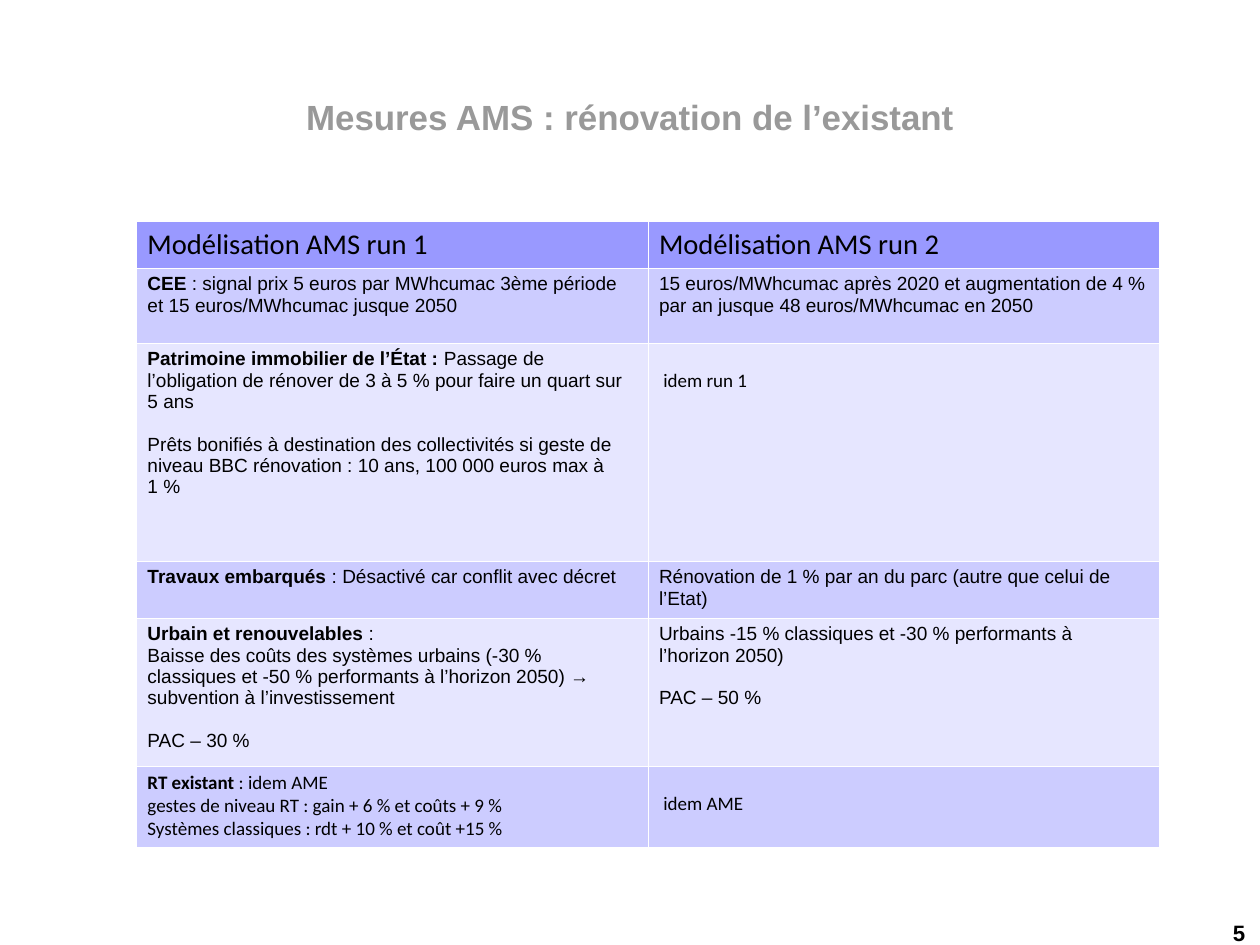
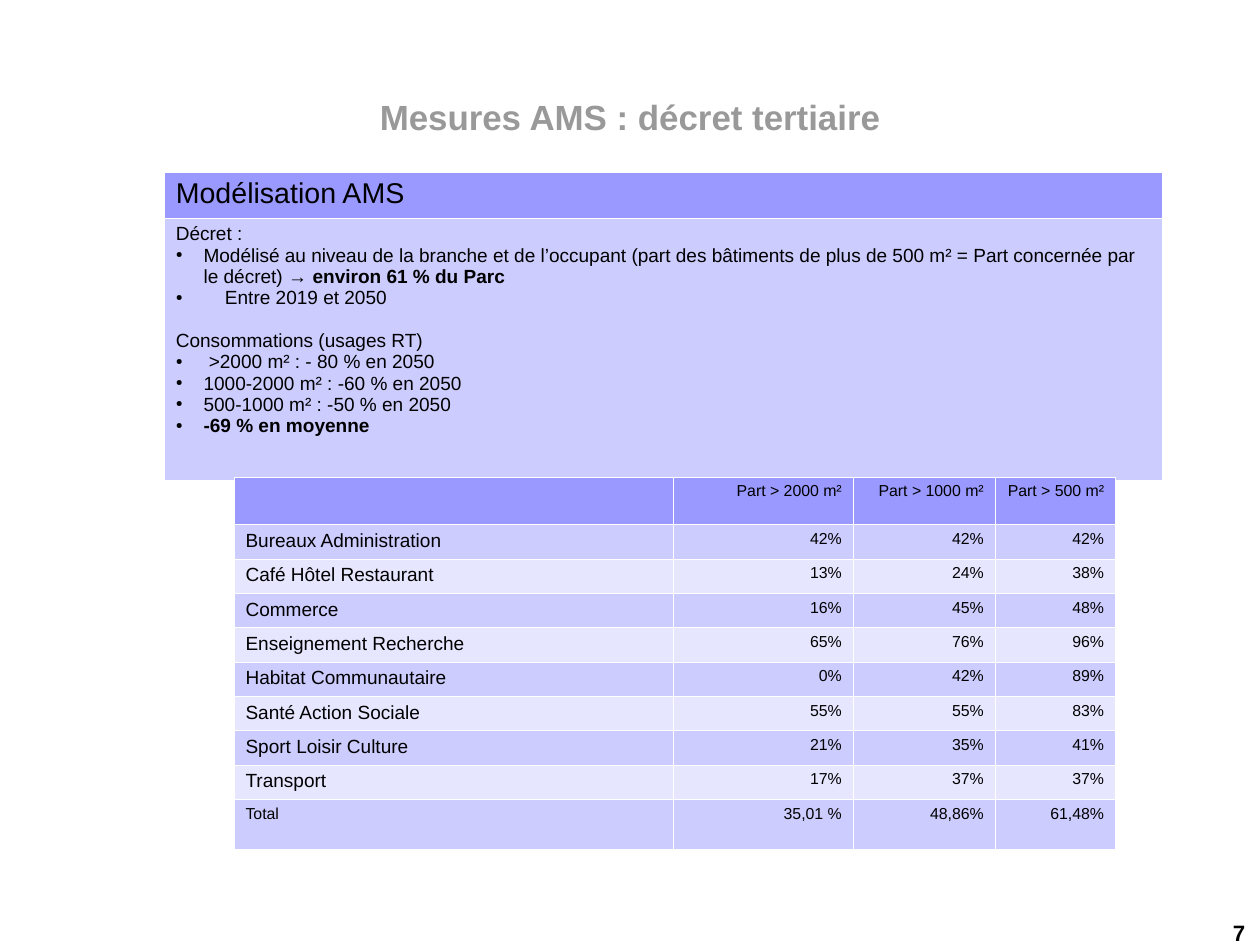
import pptx
import pptx.util
import pptx.dml.color
import pptx.enum.text
import pptx.oxml
import pptx.oxml.ns

BLACK = pptx.dml.color.RGBColor(0x00, 0x00, 0x00)
GREY = pptx.dml.color.RGBColor(0x99, 0x99, 0x99)
HEADER = pptx.dml.color.RGBColor(0x99, 0x99, 0xFF)
BAND = pptx.dml.color.RGBColor(0xCC, 0xCC, 0xFF)
PALE = pptx.dml.color.RGBColor(0xE6, 0xE6, 0xFF)

Pt = pptx.util.Pt
ALIGN = pptx.enum.text.PP_ALIGN
NS = pptx.oxml.ns.nsdecls("a")
HARD_SPACE = chr(160)

deck = pptx.Presentation()
deck.slide_width = pptx.util.Emu(10080625)
deck.slide_height = pptx.util.Emu(7559675)
COLUMN = deck.slide_width / 100
ROW = deck.slide_height / 100

BLANK_LINE = Pt(13.4)
BULLET = 2.2

TITLE = {"size": Pt(22), "name": "Arial", "bold": True}
NUMBER = {"size": Pt(14), "name": "Arial", "bold": True}
HEADING = {"size": Pt(18), "name": "Arial"}
HEADING_CALIBRI = {"size": Pt(18), "name": "Calibri"}
BODY = {"size": Pt(12), "name": "Arial"}
BODY_CALIBRI = {"size": Pt(12), "name": "Calibri"}
FIGURE = {"size": Pt(10), "name": "Arial"}


def write(frame, paragraphs, style, color=BLACK, align=ALIGN.LEFT):
    for index, (text, gap, indent) in enumerate(paragraphs):
        paragraph = frame.paragraphs[0] if index == 0 else frame.add_paragraph()
        paragraph.alignment = align
        if gap:
            paragraph.space_before = BLANK_LINE
        if indent:
            properties = paragraph._p.get_or_add_pPr()
            properties.set("marL", str(int(indent * COLUMN)))
            properties.set("indent", str(-int(indent * COLUMN)))
            for tag in ('buClr {}><a:srgbClr val="000000"/></a:buClr>',
                        'buSzPct {} val="45000"/>',
                        'buChar {} char="●"/>'):
                properties.append(pptx.oxml.parse_xml("<a:" + tag.format(NS)))
        for mark in "%:":
            text = text.replace(" " + mark, HARD_SPACE + mark)
        for part, words in enumerate(text.split("*")):
            if words:
                run = paragraph.add_run()
                run.text = words
                for key, value in {"bold": part % 2 == 1, **style}.items():
                    setattr(run.font, key, value)
                run.font.color.rgb = color


def add_grid(slide, left, top, widths, heights):
    grid = slide.shapes.add_table(
        len(heights), len(widths), int(left * COLUMN), int(top * ROW),
        int(sum(widths) * COLUMN), int(sum(heights) * ROW)).table
    grid.first_row = grid.horz_banding = False
    for column, width in zip(grid.columns, widths):
        column.width = int(width * COLUMN)
    for index, (row, height) in enumerate(zip(grid.rows, heights)):
        row.height = int(height * ROW)
        for cell in row.cells:
            cell.fill.solid()
            cell.fill.fore_color.rgb = HEADER if index == 0 else (PALE, BAND)[index % 2]
            for position, side in enumerate("LRTB"):
                cell._tc.get_or_add_tcPr().insert(position, pptx.oxml.parse_xml(
                    f'<a:ln{side} {NS} w="762"><a:solidFill>'
                    f'<a:srgbClr val="FFFFFF"/></a:solidFill></a:ln{side}>'))
    return grid


slides = []
for heading, number in (("Mesures AMS : rénovation de l’existant", "5"),
                        ("Mesures AMS : décret tertiaire", "7")):
    slide = deck.slides.add_slide(deck.slide_layouts[5])
    slides.append(slide)
    page = slide.shapes.add_textbox(0, 0, 0, 0)
    for box, place, text, style, color, align in (
            (slide.shapes.title, (5, 4, 90, 16.7), heading, TITLE, GREY, ALIGN.CENTER),
            (page, (89.75, 97.3, 9.07, 2.7), number, NUMBER, BLACK, ALIGN.RIGHT)):
        for side, share, unit in zip(("left", "top", "width", "height"), place,
                                     (COLUMN, ROW, COLUMN, ROW)):
            setattr(box, side, int(share * unit))
        frame = box.text_frame
        for key, value in {"margin_left": 0, "margin_right": 0, "margin_top": 0,
                           "margin_bottom": 0, "word_wrap": True}.items():
            setattr(frame, key, value)
        write(frame, [(text, False, 0)], style, color, align)
    slide.shapes.title.text_frame.vertical_anchor = pptx.enum.text.MSO_ANCHOR.MIDDLE

renovation, decret = slides

measures = [
    (HEADING_CALIBRI, [("Modélisation AMS run 1", False, 0)],
     HEADING_CALIBRI, [("Modélisation AMS run 2", False, 0)]),
    (BODY, [("*CEE* : signal prix 5 euros par MWhcumac 3ème période et "
             "15 euros/MWhcumac jusque 2050", False, 0)],
     BODY, [("15 euros/MWhcumac après 2020 et augmentation de 4 % par an jusque "
             "48 euros/MWhcumac en 2050", False, 0)]),
    (BODY, [("*Patrimoine immobilier de l’État :* Passage de l’obligation de rénover "
             "de 3 à 5 % pour faire un quart sur 5 ans", False, 0),
            ("Prêts bonifiés à destination des collectivités si geste de niveau BBC "
             "rénovation : 10 ans, 100 000 euros max à 1 %", True, 0)],
     BODY_CALIBRI, [(" idem run 1", False, 0)]),
    (BODY, [("*Travaux embarqués* : Désactivé car conflit avec décret", False, 0)],
     BODY, [("Rénovation de 1 % par an du parc (autre que celui de l’Etat)", False, 0)]),
    (BODY, [("*Urbain et renouvelables* :", False, 0),
            ("Baisse des coûts des systèmes urbains (-30 % classiques et -50 % "
             "performants à l’horizon 2050) → subvention à l’investissement", False, 0),
            ("PAC – 30 %", True, 0)],
     BODY, [("Urbains -15 % classiques et -30 % performants à l’horizon 2050)", False, 0),
            ("PAC – 50 %", True, 0)]),
    (BODY_CALIBRI, [("*RT existant *: idem AME", False, 0),
                    ("gestes de niveau RT : gain + 6 % et coûts + 9 %", False, 0),
                    ("Systèmes classiques : rdt + 10 % et coût +15 %", False, 0)],
     BODY_CALIBRI, [(" idem AME", False, 0)]),
]
runs_grid = add_grid(renovation, 10.8, 23.4, [40.6] * 2,
                     [4.92, 7.96, 23.05, 5.95, 15.65, 8.6])
for index, (first_style, first_run, second_style, second_run) in enumerate(measures):
    write(runs_grid.cell(index, 0).text_frame, first_run, first_style)
    write(runs_grid.cell(index, 1).text_frame, second_run, second_style)
    if second_run[0][0].startswith(" idem"):
        runs_grid.cell(index, 1).margin_top = int(2.85 * ROW)

decree = [
    ("Décret :", False, 0),
    ("Modélisé au niveau de la branche et de l’occupant (part des bâtiments de plus de "
     "500 m² = Part concernée par le décret) → *environ 61 % du Parc*", False, BULLET),
    ("Entre 2019 et 2050", False, 3.9),
    ("Consommations (usages RT)", True, 0),
    (" >2000 m² : - 80 % en 2050", False, BULLET),
    ("1000-2000 m² : -60 % en 2050", False, BULLET),
    ("500-1000 m² : -50 % en 2050", False, BULLET),
    ("*-69 % en moyenne*", False, BULLET),
]
decree_grid = add_grid(decret, 13.05, 18.2, [79.2], [4.65, 27.75])
write(decree_grid.cell(0, 0).text_frame, [("Modélisation AMS", False, 0)], HEADING)
write(decree_grid.cell(1, 0).text_frame, decree, BODY)

shares = [
    ("", "Part > 2000 m²", "Part > 1000 m²", "Part > 500 m²"),
    ("Bureaux Administration", "42%", "42%", "42%"),
    ("Café Hôtel Restaurant", "13%", "24%", "38%"),
    ("Commerce", "16%", "45%", "48%"),
    ("Enseignement Recherche", "65%", "76%", "96%"),
    ("Habitat Communautaire", "0%", "42%", "89%"),
    ("Santé Action Sociale", "55%", "55%", "83%"),
    ("Sport Loisir Culture", "21%", "35%", "41%"),
    ("Transport", "17%", "37%", "37%"),
    ("Total", "35,01 %", "48,86%", "61,48%"),
]
shares_grid = add_grid(decret, 18.58, 50.45, [34.85, 14.28, 11.27, 9.55],
                       [5.05] + [3.62] * 8 + [5.25])
for row, branch in enumerate(shares):
    for column, text in enumerate(branch):
        style = BODY if column == 0 and text != "Total" else FIGURE
        write(shares_grid.cell(row, column).text_frame, [(text, False, 0)], style,
              align=ALIGN.RIGHT if column else ALIGN.LEFT)

deck.save("out.pptx")
